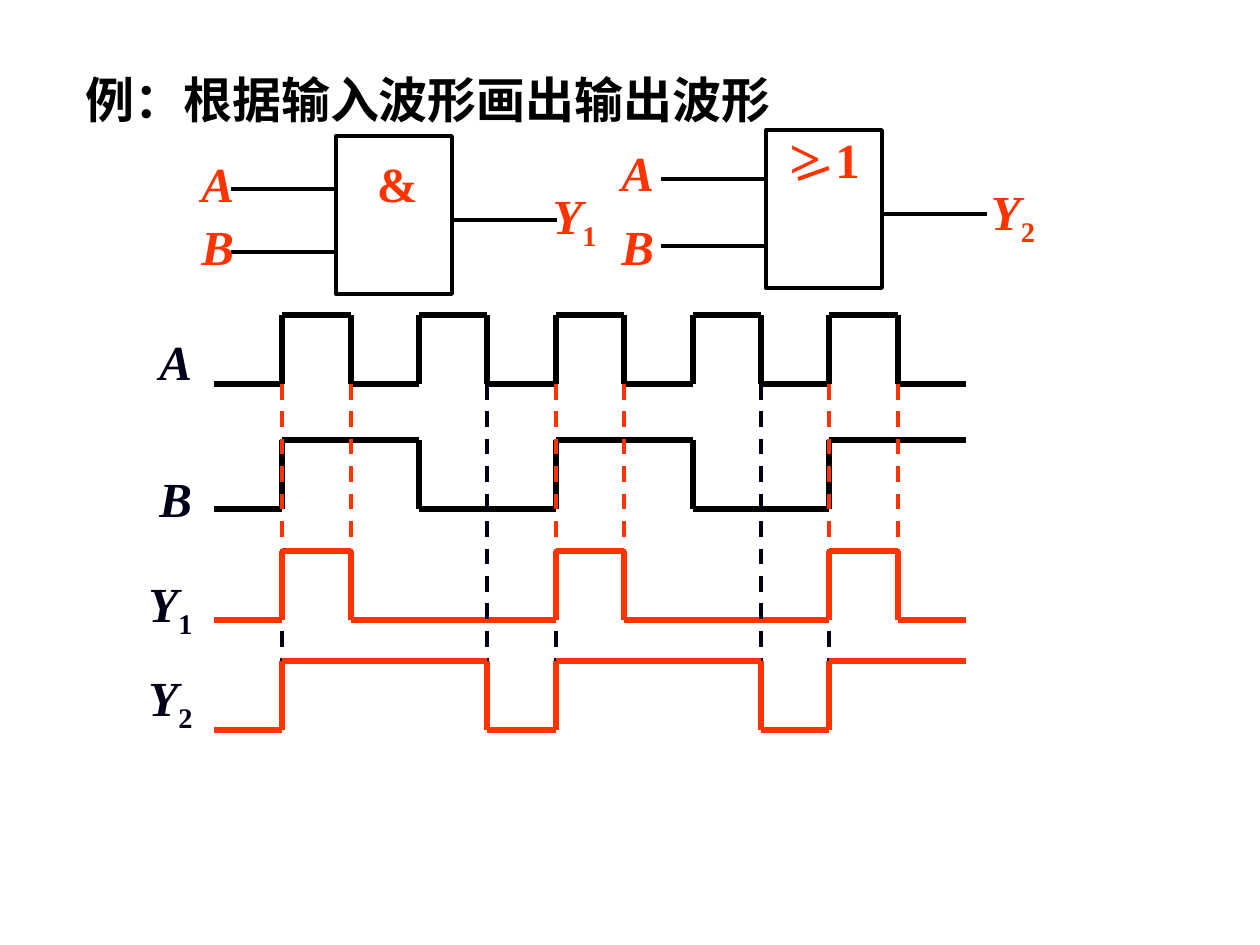
import itertools

import pptx
import pptx.dml.color
import pptx.enum.dml
import pptx.enum.shapes
import pptx.enum.text
import pptx.oxml.ns
import pptx.util
from lxml import etree

SCALE = 914400 / 126
COLORS = {"black": "000000", "navy": "000018", "red": "FF3300"}
FONT = {"name": "Times New Roman", "bold": True}
ALIGN = pptx.enum.text.PP_ALIGN
ANCHOR = pptx.enum.text.MSO_ANCHOR

deck = pptx.Presentation()
deck.slide_width = round(1260 * SCALE)
deck.slide_height = round(945 * SCALE)
page = deck.slides.add_slide(deck.slide_layouts[6])


def add_line(x1, y1, x2, y2, color, width, dashed=False):
    ends = [round(value * SCALE) for value in (x1, y1, x2, y2)]
    line = page.shapes.add_connector(pptx.enum.shapes.MSO_CONNECTOR.STRAIGHT, *ends)
    line.line.color.rgb = pptx.dml.color.RGBColor.from_string(COLORS[color])
    line.line.width = pptx.util.Pt(width)
    if dashed:
        line.line.dash_style = pptx.enum.dml.MSO_LINE.DASH
    etree.SubElement(line._element.spPr, pptx.oxml.ns.qn("a:effectLst"))


def add_text(place, spans, color, align=ALIGN.LEFT, wrap=True, anchor=ANCHOR.TOP):
    box = page.shapes.add_textbox(*[round(value * SCALE) for value in place])
    frame = {
        "word_wrap": wrap,
        "vertical_anchor": anchor,
        "auto_size": pptx.enum.text.MSO_AUTO_SIZE.SHAPE_TO_FIT_TEXT,
    }
    for name, value in frame.items():
        setattr(box.text_frame, name, value)
    para = box.text_frame.paragraphs[0]
    para.alignment = align
    for text, size, style in spans:
        span = para.add_run()
        span.text = text
        look = {**FONT, "size": pptx.util.Pt(size), "italic": style == "italic"}
        for name, value in look.items():
            setattr(span.font, name, value)
        span.font.color.rgb = pptx.dml.color.RGBColor.from_string(COLORS[color])
        if style == "subscript":
            span._r.get_or_add_rPr().set("baseline", "-25000")


names = {name: [(name, 28, "italic")] for name in "AB"}
for digit in "12":
    names["Y" + digit] = [("Y", 28, "italic"), (digit, 28, "subscript")]

add_text((73, 63, 903, 72), [("例：根据输入波形画出输出波形", 28, "plain")], "black")

edges = [round(214 + 752 / 11 * i) for i in range(12)]
pulse_height = 69
waves = [
    ("A", 315, "black", range(1, 11), (147, 325, 58, 72)),
    ("B", 440, "black", range(1, 10, 2), (147, 462, 58, 72)),
    ("Y1", 551, "red", (1, 2, 5, 6, 9, 10), (136, 567, 72, 72)),
    ("Y2", 661, "red", (1, 4, 5, 8, 9), (136, 661, 72, 72)),
]
guides = [
    ("navy", 731, (1, 4, 5, 8, 9)),
    ("red", 620, (1, 2, 5, 6, 9, 10)),
]
for name, top, color, toggles, label_place in waves:
    if name == "Y2":
        for guide_color, bottom, positions in guides:
            for i in positions:
                add_line(edges[i], 384, edges[i], bottom, guide_color, 2.25, True)
    add_text(label_place, names[name], "navy", wrap=False)
    low = top + pulse_height
    points = [(edges[0], low)]
    level = low
    for i in toggles:
        points.append((edges[i], level))
        level = top if level == low else low
        points.append((edges[i], level))
    points.append((edges[-1], level))
    for start, end in itertools.pairwise(points):
        add_line(*start, *end, color, 3)

gates = [
    (336, 136, (189, 252), 220),
    (766, 130, (179, 246), 214),
]
for left, top, inputs, output in gates:
    place = [round(value * SCALE) for value in (left, top, 116, 158)]
    gate = page.shapes.add_shape(pptx.enum.shapes.MSO_SHAPE.RECTANGLE, *place)
    gate.shadow.inherit = False
    gate.fill.background()
    gate.line.color.rgb = pptx.dml.color.RGBColor.from_string(COLORS["black"])
    gate.line.width = pptx.util.Pt(2.25)
    for y in inputs:
        add_line(left - 105, y, left, y, "black", 2.25)
    add_line(left + 116, output, left + 221, output, "black", 2.25)

gate_labels = [
    ((357, 147, 73, 72), [("&", 28, "plain")], ALIGN.RIGHT),
    ((189, 147, 53, 72), names["A"], ALIGN.RIGHT),
    ((189, 210, 42, 72), names["B"], ALIGN.RIGHT),
    ((525, 179, 84, 72), names["Y1"], ALIGN.RIGHT),
    ((777, 116, 126, 79), [("> ", 32, "plain"), ("1", 28, "plain")], ALIGN.LEFT),
    ((609, 136, 53, 72), names["A"], ALIGN.LEFT),
    ((609, 210, 73, 72), names["B"], ALIGN.LEFT),
]
for place, spans, align in gate_labels:
    add_text(place, spans, "red", align)
add_text((977, 179, 72, 72), names["Y2"], "red", ALIGN.CENTER, False, ANCHOR.MIDDLE)
add_line(829, 168, 798, 179, "red", 2.25)

deck.save("out.pptx")
